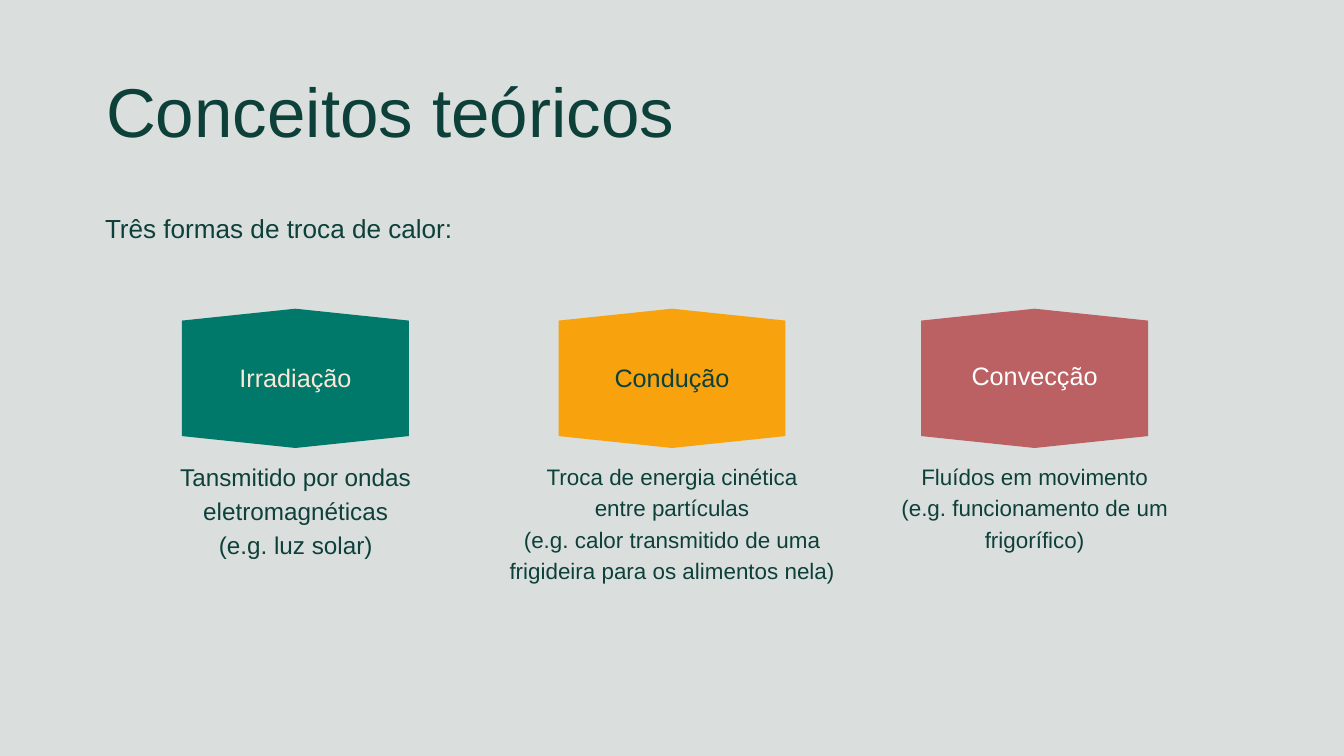
from pptx import Presentation
from pptx.dml.color import RGBColor
from pptx.enum.text import MSO_ANCHOR, MSO_AUTO_SIZE, PP_ALIGN
from pptx.util import Pt

PX = 9525
CENTER = PP_ALIGN.CENTER
TOP = MSO_ANCHOR.TOP
NO_AUTOFIT = MSO_AUTO_SIZE.NONE
DARK_GREEN = "0E403A"


def color(value):
    return RGBColor.from_string(value)


def write(holder, box, lines, size, ink=DARK_GREEN):
    holder.left, holder.top, holder.width, holder.height = [n * PX for n in box]
    frame = holder.text_frame
    frame_format = dict(margin_left=0, margin_top=0, margin_right=0, margin_bottom=0,
                        word_wrap=True, auto_size=NO_AUTOFIT, vertical_anchor=TOP)
    for name, value in frame_format.items():
        setattr(frame, name, value)
    frame.text = "\n".join(lines)
    for paragraph in frame.paragraphs:
        paragraph.alignment = CENTER
        paragraph.space_before = Pt(0)
        paragraph.line_spacing = Pt(round(size * 1.4, 1))
        paragraph.font.name = "Arial"
        paragraph.font.size = Pt(size)
        paragraph.font.color.rgb = color(ink)


prs = Presentation()
prs.slide_width = 1920 * PX
prs.slide_height = 1080 * PX
slide = prs.slides.add_slide(prs.slide_layouts[5])
slide.background.fill.solid()
slide.background.fill.fore_color.rgb = color("DADFDE")
shapes = slide.shapes

write(shapes.title, (108, 78, 899, 148), ["Conceitos teóricos"], 74)
write(shapes.add_textbox(0, 0, 0, 0), (149, 296, 498, 57),
      ["Três formas de troca de calor:"], 28)

heat_transfers = [
    (260, "00796B", "Irradiação", "FBE8D7", (336, 510, 172, 54),
     ["Tansmitido por ondas eletromagnéticas", "(e.g. luz solar)"],
     26, (238, 654, 369, 148)),
    (798, "F8A30E", "Condução", DARK_GREEN, (864, 510, 192, 48),
     ["Troca de energia cinética", "entre partículas",
      "(e.g. calor transmitido de uma frigideira para os alimentos nela)"],
     24, (709, 655, 502, 180)),
    (1316, "BB6164", "Convecção", "FFFFFF", (1382, 508, 192, 54),
     ["Fluídos em movimento", "(e.g. funcionamento de um frigorífico)"],
     24, (1264, 655, 428, 135)),
]
badge_top, badge_width, badge_height, peak = 441, 324, 199, 17

for left, fill, name, ink, name_box, details, size, details_box in heat_transfers:
    middle, right = left + badge_width // 2, left + badge_width
    bottom = badge_top + badge_height
    outline = shapes.build_freeform(left, badge_top + peak, scale=PX)
    outline.add_line_segments([
        (middle, badge_top), (right, badge_top + peak), (right, bottom - peak),
        (middle, bottom), (left, bottom - peak)], close=True)
    badge = outline.convert_to_shape()
    badge.shadow.inherit = False
    badge.fill.solid()
    badge.fill.fore_color.rgb = color(fill)
    badge.line.fill.background()
    write(shapes.add_textbox(0, 0, 0, 0), name_box, [name], 27, ink)
    write(shapes.add_textbox(0, 0, 0, 0), details_box, details, size)

prs.save("out.pptx")
